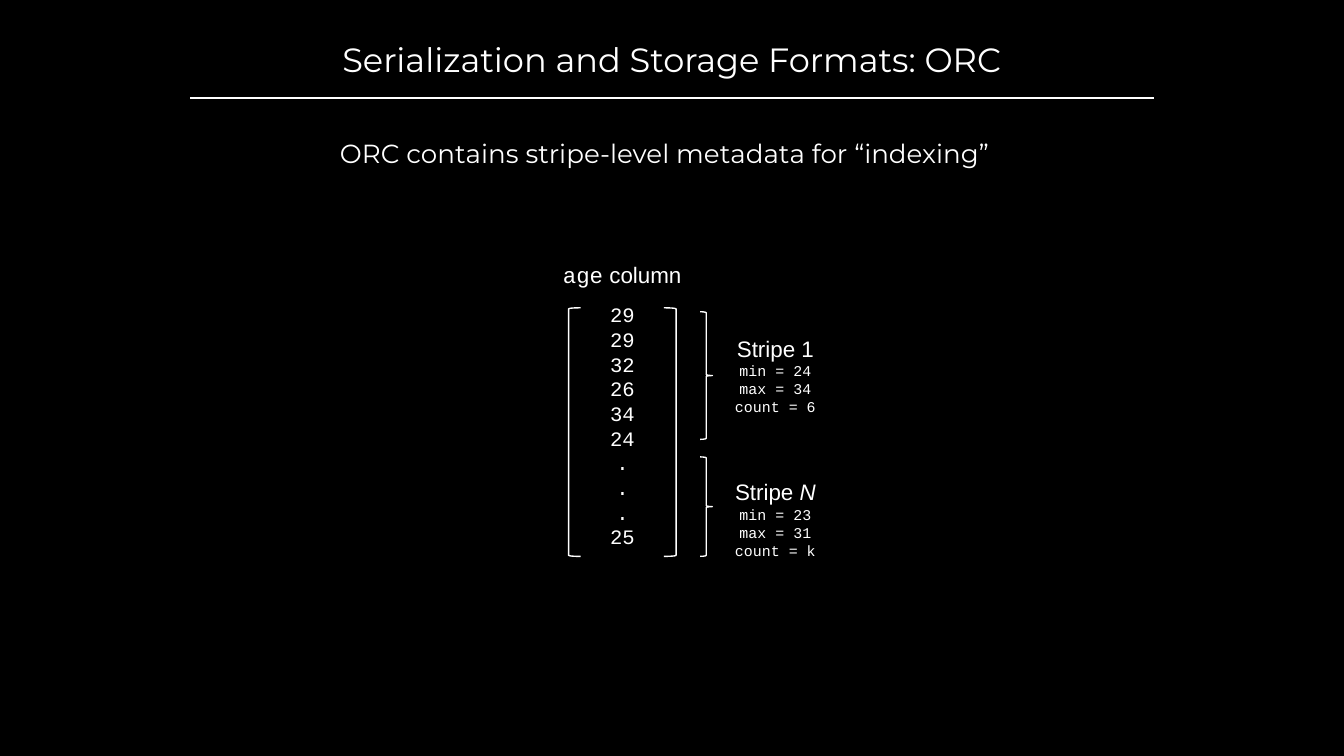
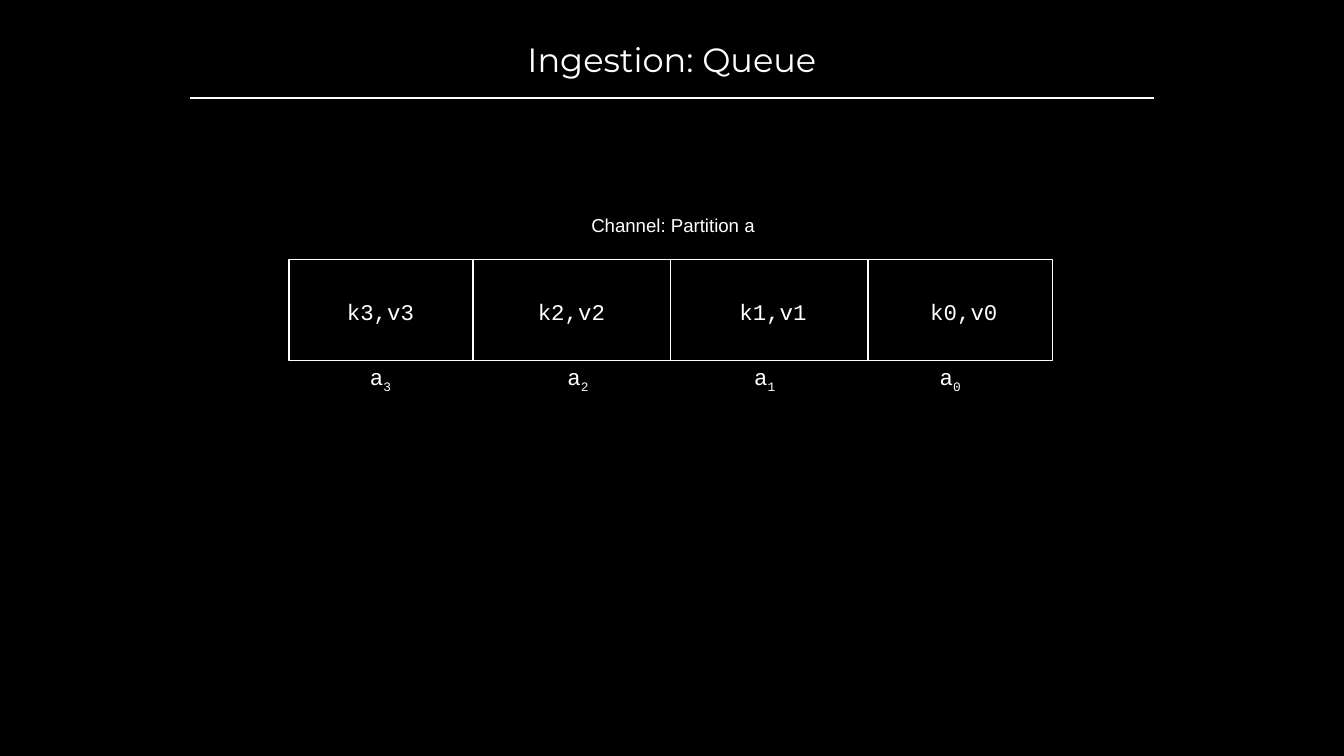
from lxml.etree import SubElement
from pptx import Presentation
from pptx.dml.color import RGBColor
from pptx.enum.shapes import MSO_CONNECTOR, MSO_SHAPE
from pptx.enum.text import MSO_ANCHOR, MSO_AUTO_SIZE, PP_ALIGN
from pptx.oxml.ns import qn
from pptx.util import Pt

BLACK = RGBColor(0x00, 0x00, 0x00)
WHITE = RGBColor(0xFF, 0xFF, 0xFF)
SANS, MONO, DISPLAY = "Arial", "Courier New", "Montserrat"
TITLE_ONLY = 5


def draw_outline(shape):
    """Give a shape or connector a thin white line and no shadow."""
    shape.line.color.rgb = WHITE
    shape.line.width = Pt(0.75)
    SubElement(shape._element.spPr, qn("a:effectLst"))


def write_text(shape, paragraphs, anchor=MSO_ANCHOR.MIDDLE, align=PP_ALIGN.CENTER, inset=7.2):
    """Fill a shape with paragraphs, each a list of (text, font, size) runs."""
    frame = shape.text_frame
    frame.word_wrap = True
    frame.auto_size = MSO_AUTO_SIZE.NONE
    frame.vertical_anchor = anchor
    frame.margin_left = frame.margin_right = Pt(7.2)
    frame.margin_top = frame.margin_bottom = Pt(inset)
    for index, runs in enumerate(paragraphs):
        paragraph = frame.add_paragraph() if index else frame.paragraphs[0]
        paragraph.alignment = align
        for text, font, size in runs:
            run = paragraph.add_run()
            run.text = text
            run.font.name = font
            run.font.size = Pt(size)
            run.font.color.rgb = WHITE
    return frame


presentation = Presentation()
presentation.slide_width = Pt(720)
presentation.slide_height = Pt(405)
background = presentation.slide_master.background.fill
background.solid()
background.fore_color.rgb = BLACK

# Title and rule on every slide
slides = []
for title_text in ("Serialization and Storage Formats: ORC", "Ingestion: Queue"):
    slide = presentation.slides.add_slide(presentation.slide_layouts[TITLE_ONLY])
    title = slide.shapes.title
    title.left, title.top, title.width, title.height = Pt(102), Pt(17.3), Pt(516), Pt(28.8)
    write_text(title, [[(title_text, DISPLAY, 18)]], anchor=MSO_ANCHOR.TOP, inset=3.6)
    rule = slide.shapes.add_connector(MSO_CONNECTOR.STRAIGHT, Pt(102), Pt(52.5), Pt(618), Pt(52.5))
    draw_outline(rule)
    slides.append(slide)
orc_slide, ingestion_slide = slides

# ORC: age column split into stripes
shapes = orc_slide.shapes
subtitle = shapes.add_textbox(Pt(175), Pt(66.2), Pt(370), Pt(33.1))
write_text(subtitle, [[("ORC contains stripe-level metadata for “indexing”", DISPLAY, 14)]],
           anchor=MSO_ANCHOR.TOP, align=PP_ALIGN.LEFT)

column_heading = shapes.add_textbox(Pt(270.7), Pt(139), Pt(125.3), Pt(15.8))
write_text(column_heading, [[("age", MONO, 12), (" column", SANS, 12)]])

ages = ["29", "29", "32", "26", "34", "24", ".", ".", ".", "25"]
age_column = shapes.add_textbox(Pt(313), Pt(154.8), Pt(41), Pt(160.6))
write_text(age_column, [[(age, MONO, 11)] for age in ages], anchor=MSO_ANCHOR.TOP)

for kind, left, top, height in (
    (MSO_SHAPE.LEFT_BRACKET, 304.6, 164.9, 133.2),
    (MSO_SHAPE.RIGHT_BRACKET, 355.7, 164.9, 133.2),
    (MSO_SHAPE.RIGHT_BRACE, 375.1, 167, 68.4),
    (MSO_SHAPE.RIGHT_BRACE, 375.1, 244.8, 53.3),
):
    bracket = shapes.add_shape(kind, Pt(left), Pt(top), Pt(6.5), Pt(height))
    bracket.fill.background()
    draw_outline(bracket)

for number, statistics, top in (
    ("1", "min = 24 max = 34 count = 6", 193),
    ("N", "min = 23 max = 31 count = k", 270),
):
    stripe = shapes.add_textbox(Pt(381.6), Pt(top), Pt(67.7), Pt(15.8))
    frame = write_text(stripe, [[("Stripe ", SANS, 12), (number, SANS, 12)], [(statistics, MONO, 8)]])
    frame.paragraphs[0].runs[1].font.italic = number.isalpha()

# Ingestion: one partition with four key-value cells
shapes = ingestion_slide.shapes
LEFT, TOP, WIDTH, HEIGHT = 154.8, 139, 409, 54
CELL_PITCH = 105.8
partition = shapes.add_shape(MSO_SHAPE.RECTANGLE, Pt(LEFT), Pt(TOP), Pt(WIDTH), Pt(HEIGHT))
partition.fill.background()
draw_outline(partition)

for step in (-1, 0, 1):
    x = Pt(LEFT + WIDTH / 2 + step * CELL_PITCH)
    divider = shapes.add_connector(MSO_CONNECTOR.STRAIGHT, x, Pt(TOP), x, Pt(TOP + HEIGHT))
    if step == 0:
        divider.begin_connect(partition, 0)
        divider.end_connect(partition, 2)
    draw_outline(divider)

caption = shapes.add_textbox(Pt(156.2), Pt(102.5), Pt(WIDTH), Pt(36))
write_text(caption, [[("Channel: Partition ", SANS, 10), ("a", MONO, 10)]])

for number, record_left, offset_left in (
    (3, 157.7, 157.7), (2, 260, 263.5), (1, 368, 363.6), (0, 470.2, 463),
):
    record = shapes.add_textbox(Pt(record_left), Pt(139.7), Pt(92.2), Pt(HEIGHT))
    write_text(record, [[(f"k{number},v{number}", MONO, 12)]])
    offset = shapes.add_textbox(Pt(offset_left), Pt(175.7), Pt(92.2), Pt(HEIGHT))
    frame = write_text(offset, [[("a", MONO, 12), (str(number), MONO, 12)]])
    frame.paragraphs[0].runs[1]._r.get_or_add_rPr().set("baseline", "-25000")

presentation.save("out.pptx")
